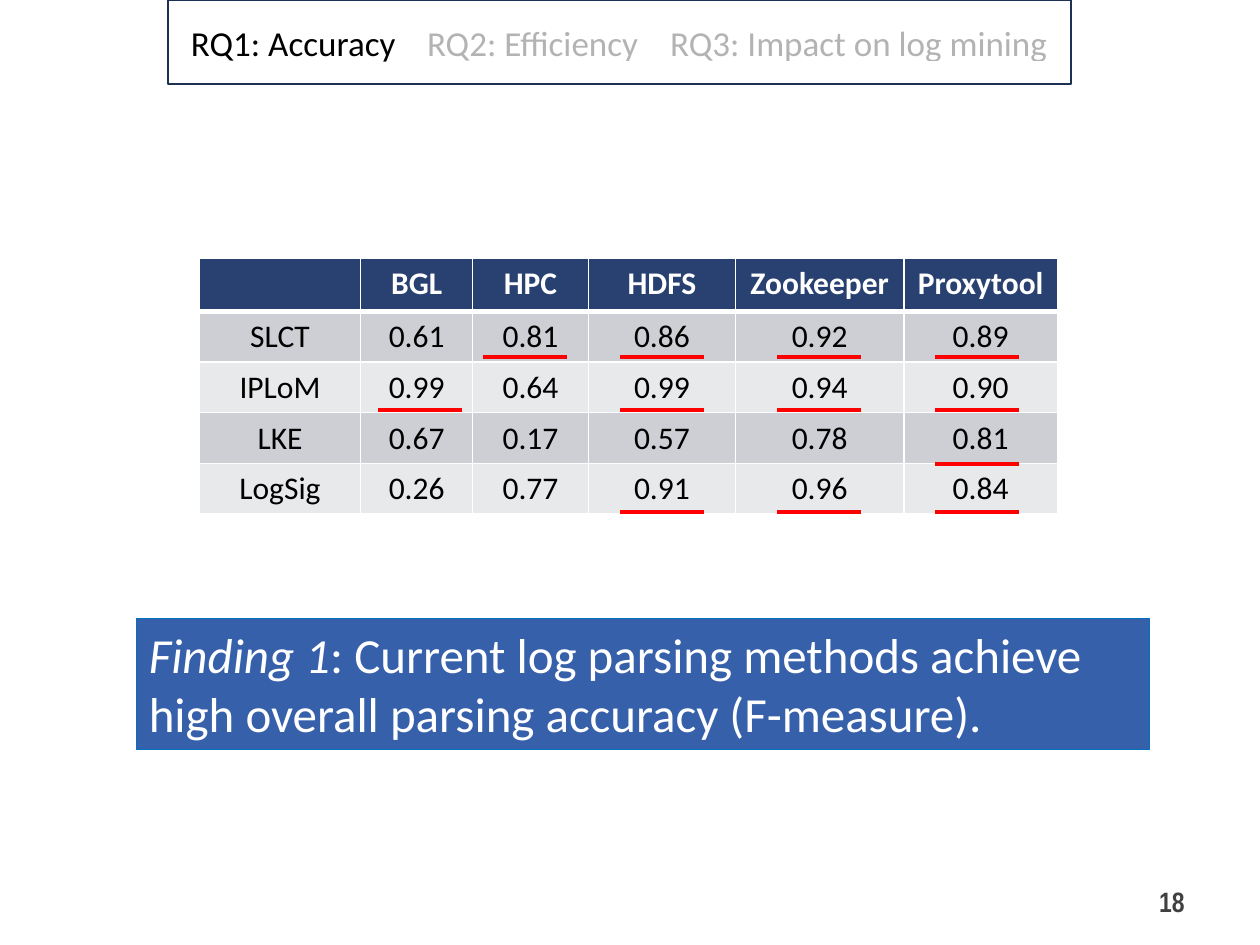
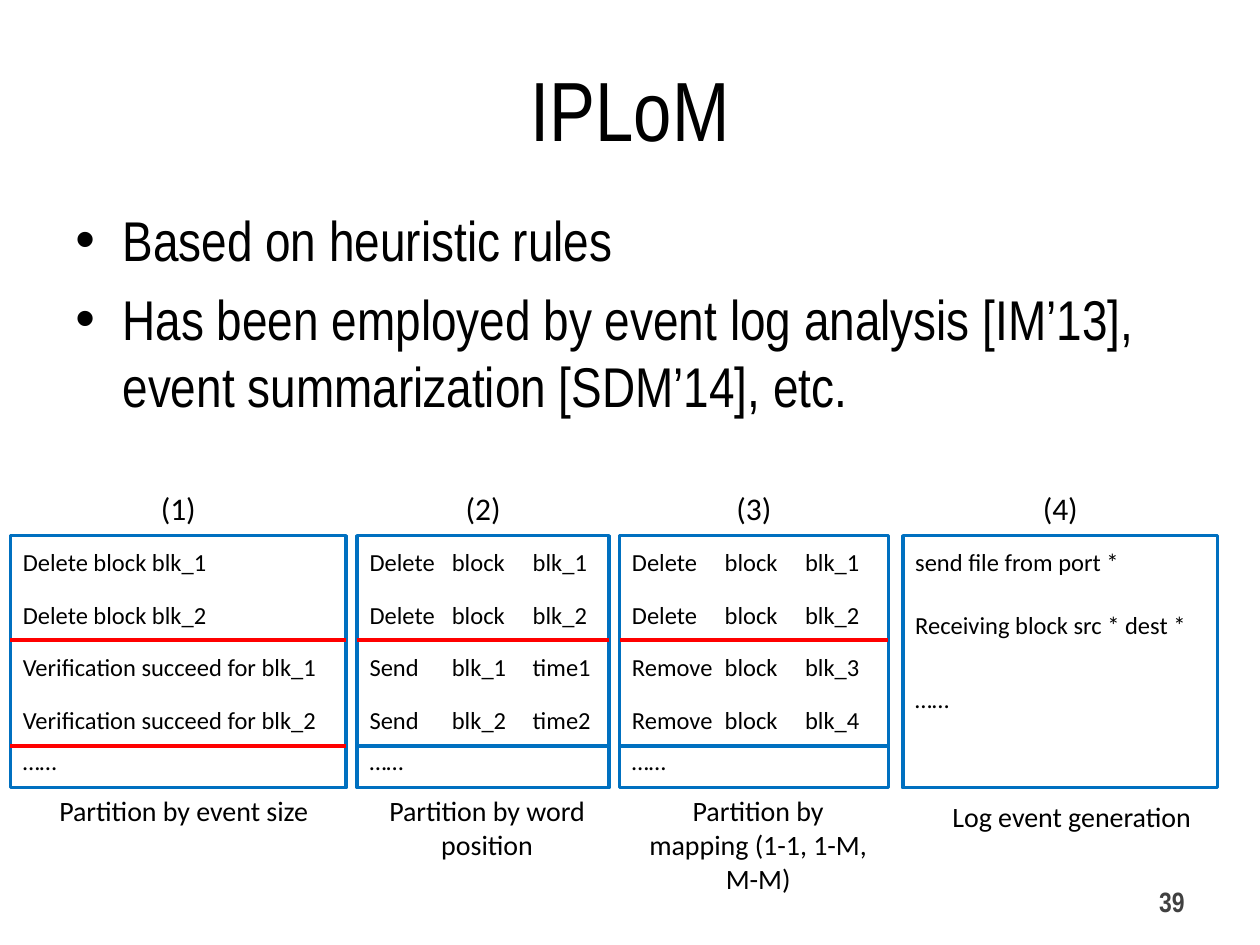
from lxml import etree
from pptx import Presentation
from pptx.dml.color import RGBColor as RGB
from pptx.enum.shapes import MSO_CONNECTOR as CONNECTOR, MSO_SHAPE as SHAPE
from pptx.enum.text import MSO_ANCHOR as ANCHOR, PP_ALIGN as ALIGN
from pptx.oxml.ns import qn
from pptx.util import Cm, Pt

COLORS = {
    "black": "000000", "white": "FFFFFF", "page": "404040", "red": "FF0000",
    "blue": "0070C0", "finding": "3760AA", "navy": "1E3054",
    "header": "294171", "odd": "CDCFD5", "even": "E8E9EB",
}
COLORS = {role: RGB.from_string(value) for role, value in COLORS.items()}
BODY, HEADING = "Calibri", "Arial Narrow"


def panel(slide, at, fill, line, width):
    rect = slide.shapes.add_shape(SHAPE.RECTANGLE, *map(Cm, at))
    rect.shadow.inherit = False
    if fill:
        rect.fill.solid()
        rect.fill.fore_color.rgb = COLORS[fill]
    else:
        rect.fill.background()
    rect.line.color.rgb = COLORS[line]
    rect.line.width = Pt(width)
    return rect


def write(holder, paragraphs, size, color="black", font=BODY, bold=False,
          align=ALIGN.LEFT, anchor=ANCHOR.TOP, tabs=(), bullet=False):
    """Fill a shape or cell; each paragraph is a list of run texts."""
    frame = holder.text_frame
    frame.word_wrap = True
    holder.vertical_anchor = frame.vertical_anchor = anchor
    for i, runs in enumerate(paragraphs):
        paragraph = frame.add_paragraph() if i else frame.paragraphs[0]
        paragraph.alignment = align
        for text in runs:
            paragraph.add_run().text = text
        props = paragraph._p.get_or_add_pPr()
        if bullet:
            props.set("marL", str(Cm(0.95)))
            props.set("indent", str(-Cm(0.95)))
            if i:
                paragraph.space_before = Pt(size * 0.2)
            etree.SubElement(props, qn("a:buFont"), typeface="Arial")
            etree.SubElement(props, qn("a:buChar"), char="•")
        if tabs:
            stops = etree.SubElement(props, qn("a:tabLst"))
            for stop in tabs:
                etree.SubElement(stops, qn("a:tab"), pos=str(Cm(stop)), algn="l")
        paragraph.font.name = font
        paragraph.font.size = Pt(size)
        paragraph.font.bold = bold
        paragraph.font.color.rgb = COLORS[color]


prs = Presentation()
prs.slide_width, prs.slide_height = Cm(25.4), Cm(19.05)
accuracy, iplom = [prs.slides.add_slide(prs.slide_layouts[6]) for _ in range(2)]
rules = []  # slide, left, width, y, color

for slide, number in ((accuracy, "18"), (iplom, "39")):
    page = slide.shapes.add_textbox(Cm(18.2), Cm(17.65), Cm(5.93), Cm(1.02))
    write(page, [[number]], 16, "page", HEADING, True, ALIGN.RIGHT, ANCHOR.MIDDLE)

# Accuracy of the log parsers
finding = panel(accuracy, (2.75, 12.47, 20.42, 2.64), "finding", "blue", 0.75)
write(finding, [["Finding 1", ": Current log parsing methods achieve high "
                 "overall parsing accuracy (F-measure)."]], 28, "white")
finding.text_frame.paragraphs[0].runs[0].font.italic = True

questions = panel(accuracy, (3.39, 0, 18.2, 1.7), "white", "navy", 1)
write(questions, [["RQ1: Accuracy\tRQ2: Efficiency\tRQ3: Impact on log mining"]],
      20, anchor=ANCHOR.MIDDLE, tabs=(4.76, 9.66))
questions.text_frame.margin_left = Cm(0.46)
questions.text_frame.margin_right = 0

veil = panel(accuracy, (8.47, 0.42, 12.9, 0.85), "white", "white", 2)
veil_color = veil.fill._xPr.find(qn("a:solidFill"))[0]
etree.SubElement(veil_color, qn("a:alpha"), val="70000")

scores = [
    ["", "BGL", "HPC", "HDFS", "Zookeeper", "Proxytool"],
    ["SLCT", "0.61", "0.81", "0.86", "0.92", "0.89"],
    ["IPLoM", "0.99", "0.64", "0.99", "0.94", "0.90"],
    ["LKE", "0.67", "0.17", "0.57", "0.78", "0.81"],
    ["LogSig", "0.26", "0.77", "0.91", "0.96", "0.84"],
]
column_widths = [3.25, 2.26, 2.33, 2.97, 3.39, 3.1]
rule_lefts = [0, 7.62, 9.73, 12.5, 15.67, 18.85]
rule_tops = [0, 7.19, 8.26, 9.35, 10.32]
table = accuracy.shapes.add_table(5, 6, Cm(4.02), Cm(5.21), Cm(17.3), Cm(5.15)).table
for column, width in zip(table.columns, column_widths):
    column.width = Cm(width)
for r, row in enumerate(scores):
    table.rows[r].height = Cm(1.02 if r else 1.07)
    for c, value in enumerate(row):
        cell = table.cell(r, c)
        write(cell, [[value]], 18, "black" if r else "white", bold=r == 0,
              align=ALIGN.CENTER)
        props = cell._tc.get_or_add_tcPr()
        for side in "LRTB":
            thick = (side == "B" and r == 0) or (side == "T" and r == 1)
            border = etree.SubElement(props, qn(f"a:ln{side}"),
                                      w=str(Pt(3 if thick else 1)))
            paint = etree.SubElement(border, qn("a:solidFill"))
            etree.SubElement(paint, qn("a:srgbClr"), val=str(COLORS["white"]))
        cell.fill.solid()
        cell.fill.fore_color.rgb = COLORS["header" if r == 0 else
                                          "odd" if r % 2 else "even"]
        if r and c and float(value) > 0.8:
            rules.append((accuracy, rule_lefts[c], 1.69, rule_tops[r], "red"))

# Steps of IPLoM
title = iplom.shapes.add_textbox(Cm(1.27), Cm(0.76), Cm(22.86), Cm(2.84))
write(title, [["IPLoM"]], 48, font=HEADING, align=ALIGN.CENTER, anchor=ANCHOR.MIDDLE)
summary = iplom.shapes.add_textbox(Cm(1.27), Cm(4.02), Cm(23.29), Cm(5.5))
write(summary, [["Based on heuristic rules"],
                ["Has been employed by event log analysis [IM’13], "
                 "event summarization [SDM’14], etc."]],
      32, font=HEADING, bullet=True)

STEP_TOP, STEP_HEIGHT = 10.8, 5.08
line_tops = [10.8, 11.86, 12.91, 13.97, 14.81]
steps = [  # left, width, caption box, caption, tabs, second rule, logs, log tops
    (0.21, 6.77, (0.43, 15.88, 6.55), "Partition by event size", (), "red",
     ["Delete block blk_1", "Delete block blk_2", "Verification succeed for blk_1",
      "Verification succeed for blk_2", "……"], line_tops),
    (7.2, 5.08, (7.37, 15.88, 4.9), "Partition by word position", (1.66, 3.29), "blue",
     ["Delete\tblock\tblk_1", "Delete\tblock\tblk_2", "Send\tblk_1\ttime1",
      "Send\tblk_2\ttime2", "……"], line_tops),
    (12.49, 5.42, (12.67, 15.88, 5.23), "Partition by mapping (1-1, 1-M, M-M)",
     (1.87, 3.49), "blue",
     ["Delete\tblock\tblk_1", "Delete\tblock\tblk_2", "Remove\tblock\tblk_3",
      "Remove\tblock\tblk_4", "……"], line_tops),
    (18.2, 6.35, (18.85, 16, 5.51), "Log event generation", (), None,
     ["send file from port *", "Receiving block src * dest *", "……"],
     [10.8, 12.06, 13.55]),
]
for number, step in enumerate(steps, 1):
    left, width, caption_at, caption, tabs, second_rule, logs, tops = step
    panel(iplom, (left, STEP_TOP, width, STEP_HEIGHT), None, "blue", 2)
    heading = iplom.shapes.add_textbox(Cm(left + width * 0.2), Cm(9.74),
                                       Cm(width * 0.6), Cm(1.02))
    write(heading, [[f"({number})"]], 18, align=ALIGN.CENTER)
    caption_box = iplom.shapes.add_textbox(*map(Cm, caption_at), Cm(0.94))
    write(caption_box, [[caption]], 16, align=ALIGN.CENTER)
    for log, top in zip(logs, tops):
        log_box = iplom.shapes.add_textbox(Cm(left), Cm(top), Cm(width), Cm(1.06))
        write(log_box, [[log]], 14, anchor=ANCHOR.MIDDLE, tabs=tabs)
    if second_rule:
        rules += [(iplom, left, width, 12.91, "red"),
                  (iplom, left, width, 15.03, second_rule)]

for slide, left, width, y, color in rules:
    rule = slide.shapes.add_connector(CONNECTOR.STRAIGHT, Cm(left), Cm(y),
                                      Cm(left + width), Cm(y))
    rule.line.color.rgb = COLORS[color]
    rule.line.width = Pt(2.25)
    etree.SubElement(rule._element.spPr, qn("a:effectLst"))

prs.save("out.pptx")
